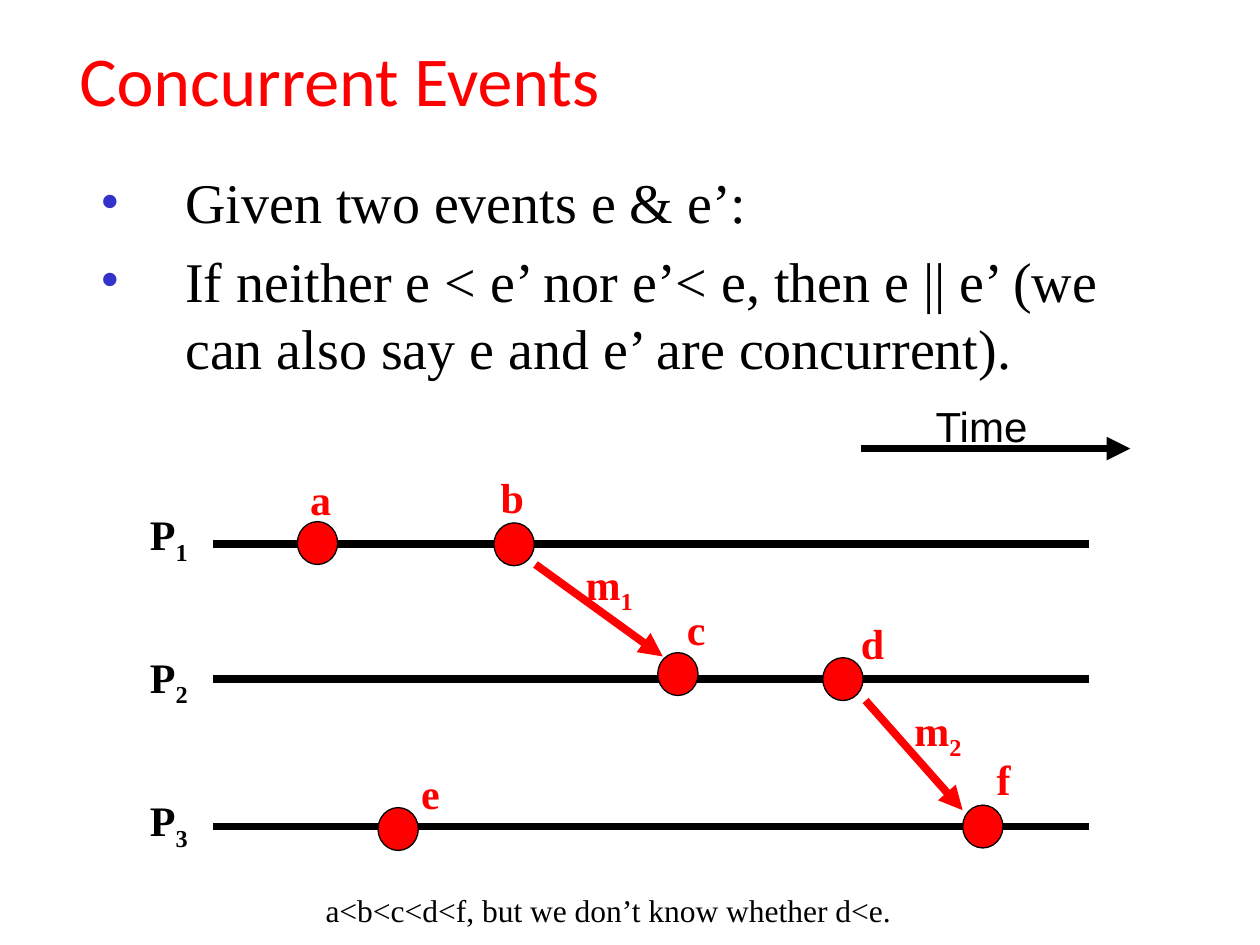
"""Build the Concurrent Events slide: bullets above a three-process timeline."""
from dataclasses import dataclass

from lxml.etree import SubElement
from pptx import Presentation
from pptx.dml.color import RGBColor
from pptx.enum.shapes import MSO_CONNECTOR, MSO_SHAPE
from pptx.enum.text import MSO_ANCHOR, MSO_AUTO_SIZE, PP_ALIGN
from pptx.oxml.ns import qn
from pptx.util import Inches, Pt


@dataclass(frozen=True)
class Theme:
    black: RGBColor = RGBColor(0x00, 0x00, 0x00)
    red: RGBColor = RGBColor(0xFF, 0x00, 0x00)
    bullet: str = "3333CC"
    serif: str = "Times New Roman"
    sans: str = "Arial"
    heading: str = "Calibri"
    title: int = 40
    body: int = 32
    label: int = 24
    note: int = 18
    stroke: float = 4.5
    outline: float = 0.75


theme = Theme()


def write(p, text, sub="", size=theme.label, font=theme.serif, color=theme.black,
          bold=False, align=PP_ALIGN.CENTER):
    p.alignment = align
    for part in filter(None, (text, sub)):
        r = p.add_run()
        r.text = part
        r.font.size = Pt(size)
        r.font.name = font
        r.font.bold = bold
        r.font.color.rgb = color
    if sub:
        r.font._element.set("baseline", "-25000")


def add_line(x1, y1, x2, y2, color=theme.black, arrow=False):
    c = s.shapes.add_connector(MSO_CONNECTOR.STRAIGHT, Inches(x1), Inches(y1),
                               Inches(x2), Inches(y2))
    c.line.color.rgb = color
    c.line.width = Pt(theme.stroke)
    if arrow:
        SubElement(c.line._get_or_add_ln(), qn("a:tailEnd"), type="triangle")
    SubElement(c._element.spPr, qn("a:effectLst"))


prs = Presentation()
prs.slide_width, prs.slide_height = Inches(10), Inches(7.5)
s = prs.slides.add_slide(prs.slide_layouts[1])

title, body = s.placeholders
for sp, box in ((title, (0.53, 0, 9.47, 1.25)), (body, (0.7, 1.28, 8.59, 1.81))):
    sp.left, sp.top, sp.width, sp.height = map(Inches, box)
    sp.text_frame.auto_size = MSO_AUTO_SIZE.NONE
title.text_frame.vertical_anchor = MSO_ANCHOR.MIDDLE
write(title.text_frame.paragraphs[0], "Concurrent Events", size=theme.title,
      font=theme.heading, color=theme.red, align=PP_ALIGN.LEFT)

bullets = ("Given two events e & e’:",
           "If neither e < e’ nor e’< e, then e || e’ "
           "(we can also say e and e’ are concurrent).")
tf = body.text_frame
for i, text in enumerate(bullets):
    p = tf.add_paragraph() if i else tf.paragraphs[0]
    write(p, text, size=theme.body, align=PP_ALIGN.LEFT)
    pPr = p._p.get_or_add_pPr()
    pPr.set("marL", str(Inches(0.67)))
    pPr.set("indent", str(Inches(-0.67)))
    SubElement(SubElement(pPr, qn("a:buClr")), qn("a:srgbClr"), val=theme.bullet)
    SubElement(pPr, qn("a:buFont"), typeface=theme.serif)
    SubElement(pPr, qn("a:buChar"), char="•")

for y in (4.32, 5.39, 6.56):
    add_line(1.69, y, 8.64, y)
add_line(6.83, 3.56, 8.97, 3.56, arrow=True)

events = ((2.36, 4.14), (3.92, 4.15), (5.22, 5.18), (6.53, 5.22), (3, 6.41), (7.64, 6.39))
for x, y in events:
    sp = s.shapes.add_shape(MSO_SHAPE.OVAL, Inches(x), Inches(y), Inches(0.32), Inches(0.34))
    sp.shadow.inherit = False
    sp.fill.solid()
    sp.fill.fore_color.rgb = theme.red
    sp.line.color.rgb = theme.black
    sp.line.width = Pt(theme.outline)

add_line(4.25, 4.48, 5.26, 5.21, theme.red, arrow=True)
add_line(6.87, 5.56, 7.64, 6.43, theme.red, arrow=True)

process = dict(bold=True)
event = dict(bold=True, color=theme.red)
labels = (
    ("P", "1", 1.08, 3.99, 0.52, process),
    ("P", "2", 1.08, 5.12, 0.52, process),
    ("P", "3", 1.08, 6.26, 0.52, process),
    ("Time", "", 7.32, 3.13, 0.94, dict(font=theme.sans)),
    ("a", "", 2.36, 3.71, 0.37, event),
    ("b", "", 3.87, 3.69, 0.39, event),
    ("c", "", 5.35, 4.74, 0.35, event),
    ("d", "", 6.73, 4.85, 0.39, event),
    ("e", "", 3.24, 6.04, 0.35, event),
    ("f", "", 7.81, 5.93, 0.31, event),
    ("m", "1", 4.54, 4.38, 0.59, event),
    ("m", "2", 7.15, 5.54, 0.59, event),
)
for text, sub, x, y, w, style in labels:
    tf = s.shapes.add_textbox(Inches(x), Inches(y), Inches(w), Inches(0.5)).text_frame
    tf.word_wrap = False
    tf.auto_size = MSO_AUTO_SIZE.SHAPE_TO_FIT_TEXT
    write(tf.paragraphs[0], text, sub, **style)

tf = s.shapes.add_textbox(Inches(1.6), Inches(7.02), Inches(6.52), Inches(0.41)).text_frame
tf.word_wrap = True
tf.auto_size = MSO_AUTO_SIZE.SHAPE_TO_FIT_TEXT
write(tf.paragraphs[0], "a<b<c<d<f, but we don’t know whether d<e. ", size=theme.note)

prs.save("out.pptx")
